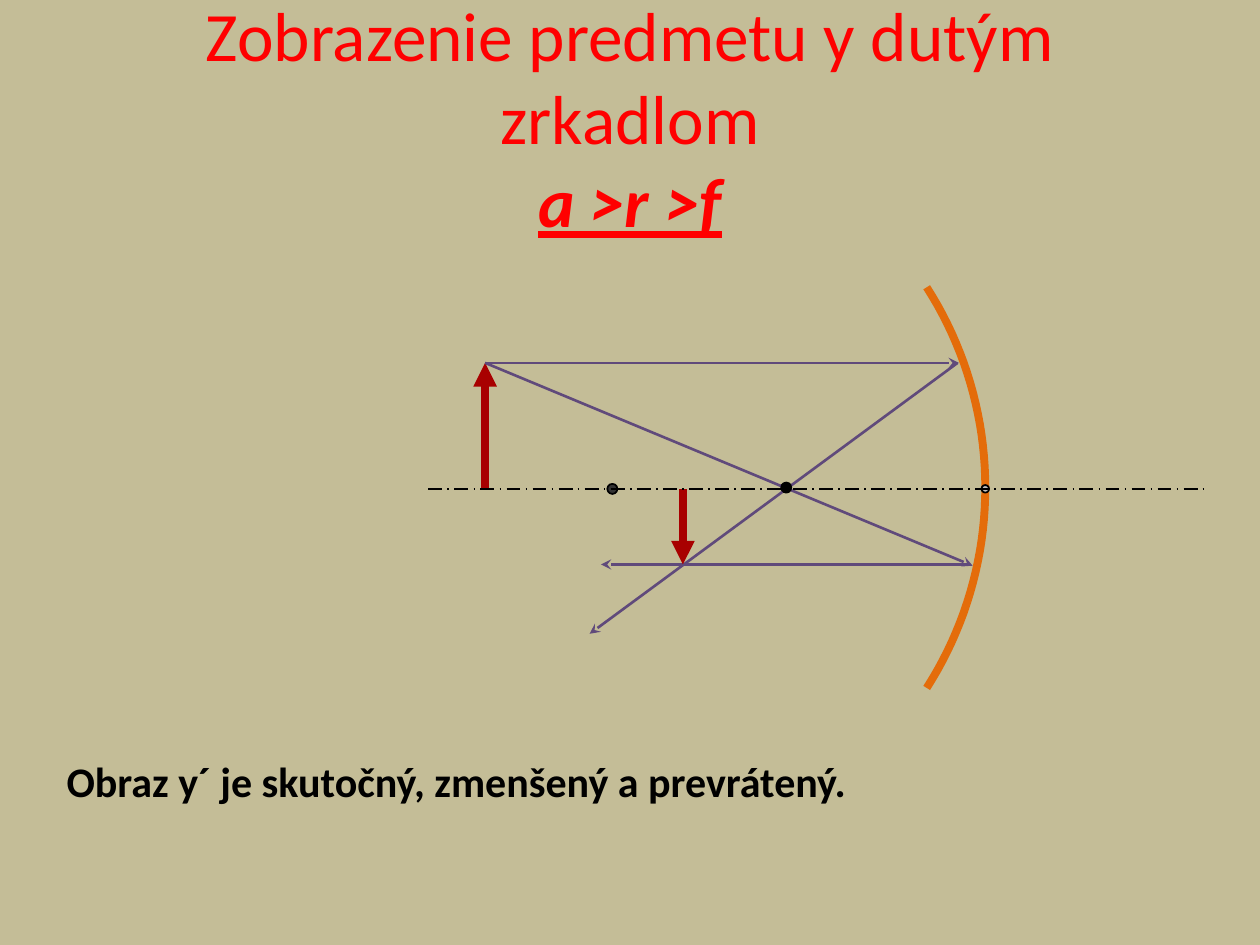
from dataclasses import dataclass
from math import asin, cos, sin

from lxml import etree
from pptx import Presentation
from pptx.dml.color import RGBColor
from pptx.enum.dml import MSO_LINE
from pptx.enum.shapes import MSO_CONNECTOR, MSO_SHAPE
from pptx.enum.text import MSO_ANCHOR, PP_ALIGN
from pptx.oxml.ns import qn
from pptx.util import Inches, Pt

STRAIGHT = MSO_CONNECTOR.STRAIGHT
OVAL = MSO_SHAPE.OVAL
LONG_DASH_DOT = MSO_LINE.LONG_DASH_DOT
MIDDLE = MSO_ANCHOR.MIDDLE
CENTER = PP_ALIGN.CENTER

SAND = RGBColor(0xC4, 0xBD, 0x97)
RED = RGBColor(0xFF, 0x00, 0x00)
DARK_RED = RGBColor(0xA8, 0x00, 0x00)
PURPLE = RGBColor(0x60, 0x4A, 0x7B)
ORANGE = RGBColor(0xE4, 0x6C, 0x0A)
BLACK = RGBColor(0x00, 0x00, 0x00)
CHARCOAL = RGBColor(0x33, 0x33, 0x33)
SILVER = RGBColor(0xC0, 0xC0, 0xC0)

FONT = "Calibri"
AXIS_Y = 3.88
OBJECT_X, OBJECT_Y = 3.85, 2.88
IMAGE_X, IMAGE_Y = 5.42, 4.48
CENTRE_X, CENTRE_Y = 4.87, 3.87
RADIUS, HALF_HEIGHT = 2.95, 1.59
ARC_STEPS = 40


@dataclass
class Line:
    start: tuple[float, float]
    end: tuple[float, float]
    color: RGBColor
    width: float
    arrow: str = ""


@dataclass
class Dot:
    left: float
    top: float
    size: float
    fill: RGBColor


def ray(start: tuple[float, float], end: tuple[float, float]) -> Line:
    return Line(start, end, PURPLE, 1.5, "stealth")


def add_line(s, line: Line):
    c = s.shapes.add_connector(STRAIGHT, *map(Inches, line.start + line.end))
    c.line.color.rgb = line.color
    c.line.width = Pt(line.width)
    etree.SubElement(c._element.spPr, qn("a:effectLst"))
    if line.arrow:
        ln = c.line._get_or_add_ln()
        etree.SubElement(ln, qn("a:tailEnd"), type=line.arrow)
    return c


def add_dot(s, dot: Dot) -> None:
    sp = s.shapes.add_shape(OVAL, *map(Inches, (dot.left, dot.top, dot.size, dot.size)))
    sp.shadow.inherit = False
    sp.fill.solid()
    sp.fill.fore_color.rgb = dot.fill
    sp.line.color.rgb = BLACK
    sp.line.width = Pt(1)


def add_mirror(s) -> None:
    half_angle = asin(HALF_HEIGHT / RADIUS)
    angles = [half_angle * (2 * i / ARC_STEPS - 1) for i in range(ARC_STEPS + 1)]
    points = [
        (Inches(CENTRE_X + RADIUS * cos(a)), Inches(CENTRE_Y + RADIUS * sin(a)))
        for a in angles
    ]
    builder = s.shapes.build_freeform(Inches(CENTRE_X), Inches(CENTRE_Y))
    builder.move_to(*points[0])
    builder.add_line_segments(points[1:], close=False)
    sp = builder.convert_to_shape()
    sp.shadow.inherit = False
    sp.fill.background()
    sp.line.color.rgb = ORANGE
    sp.line.width = Pt(4.5)


def add_text(s, box: tuple[float, ...], text: str, size: float, color: RGBColor):
    tf = s.shapes.add_textbox(*map(Inches, box)).text_frame
    tf.word_wrap = True
    tf.text = text
    p = tf.paragraphs[0]
    for r in p.runs:
        r.font.name = FONT
        r.font.size = Pt(size)
        r.font.color.rgb = color
    return tf


def main() -> None:
    prs = Presentation()
    prs.slide_width, prs.slide_height = Inches(10), Inches(7.5)
    s = prs.slides.add_slide(prs.slide_layouts[6])
    s.background.fill.solid()
    s.background.fill.fore_color.rgb = SAND

    title = "Zobrazenie predmetu y dutým zrkadlom\va >r >f"
    tf = add_text(s, (0.5, 0.3, 9, 1.25), title, 39.6, RED)
    tf.vertical_anchor = MIDDLE
    p = tf.paragraphs[0]
    p.alignment = CENTER
    font = p.runs[-1].font
    font.bold = font.italic = font.underline = True

    object_top = (OBJECT_X, OBJECT_Y)
    add_line(s, ray((7.7, IMAGE_Y), (4.77, IMAGE_Y)))
    add_line(s, Line((OBJECT_X, AXIS_Y), object_top, DARK_RED, 4.5, "triangle"))
    add_mirror(s)
    add_dot(s, Dot(7.79, 3.85, 0.06, SILVER))
    add_dot(s, Dot(4.82, 3.84, 0.08, CHARCOAL))
    for line in (
        ray(object_top, (7.61, OBJECT_Y)),
        ray(object_top, (7.72, 4.49)),
        ray((7.6, OBJECT_Y), (4.68, 5.03)),
        Line((IMAGE_X, AXIS_Y), (IMAGE_X, IMAGE_Y), DARK_RED, 4.5, "triangle"),
    ):
        add_line(s, line)
    add_dot(s, Dot(6.2, 3.83, 0.08, BLACK))
    axis = add_line(s, Line((3.4, AXIS_Y), (9.57, AXIS_Y), BLACK, 1))
    axis.line.dash_style = LONG_DASH_DOT

    caption = "Obraz y´ je skutočný, zmenšený a prevrátený."
    tf = add_text(s, (0.43, 5.95, 7.17, 0.5), caption, 24, BLACK)
    tf.paragraphs[0].runs[0].font.bold = True
    prs.save("out.pptx")


if __name__ == "__main__":
    main()
